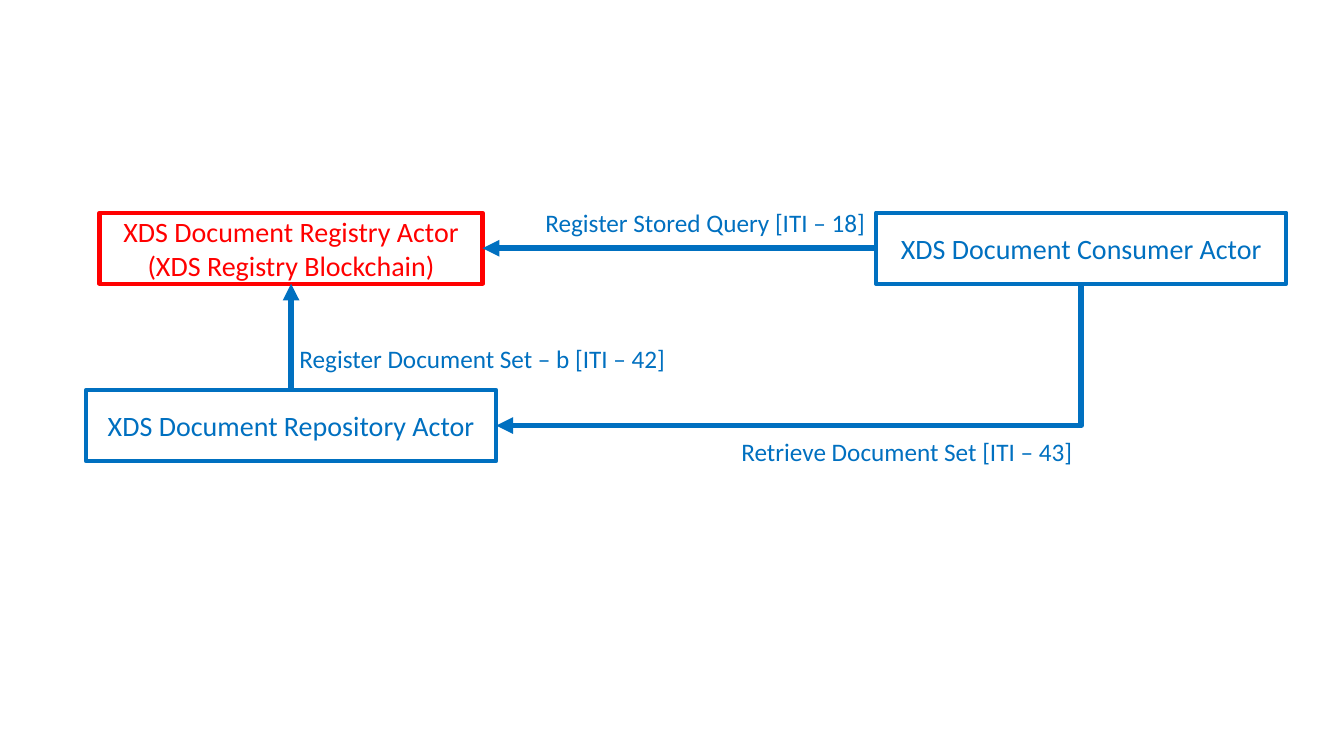
"""Build the slide of XDS document actors and the transactions between them."""
from dataclasses import dataclass

from lxml import etree
from pptx import Presentation
from pptx.dml.color import RGBColor
from pptx.enum.shapes import MSO_CONNECTOR, MSO_SHAPE
from pptx.enum.text import MSO_ANCHOR, PP_ALIGN
from pptx.oxml.ns import qn
from pptx.shapes.autoshape import Shape
from pptx.shapes.connector import Connector
from pptx.slide import Slide
from pptx.util import Inches, Pt

STRAIGHT, ELBOW = MSO_CONNECTOR.STRAIGHT, MSO_CONNECTOR.ELBOW
RECTANGLE = MSO_SHAPE.RECTANGLE
CENTER, MIDDLE = PP_ALIGN.CENTER, MSO_ANCHOR.MIDDLE
TOP, LEFT, BOTTOM, RIGHT = range(4)

COLORS = {"blue": "0070C0", "red": "FF0000"}
FONT = "Calibri"
SLIDE_WIDTH, SLIDE_HEIGHT = Inches(13.33), Inches(7.5)
COLUMN, ROW = SLIDE_WIDTH / 100, SLIDE_HEIGHT / 100

UPPER_ROW, LOWER_ROW = 28.13, 51.6
LEFT_CENTER, RIGHT_CENTER = 21.66, 80.45
BOX_HEIGHT, BOX_WIDTH = 9.4, 30.53
LABEL_WIDTH = 29.03


@dataclass(frozen=True)
class Actor:
    """An outlined box, centred on a column."""
    text: str
    center: float
    row: float
    width: float = BOX_WIDTH
    color: str = "blue"


@dataclass(frozen=True)
class Label:
    """The name of a transaction."""
    text: str
    column: float
    row: float
    height: float = BOX_HEIGHT


@dataclass(frozen=True)
class Arrow:
    """A transaction from a side of one actor to a side of another."""
    source: str
    source_side: int
    target: str
    target_side: int
    bent: bool = False


ACTORS = {
    "registry": Actor("XDS Document Registry Actor\v(XDS Registry Blockchain)",
                      LEFT_CENTER, UPPER_ROW, 28.5, "red"),
    "repository": Actor("XDS Document Repository Actor", LEFT_CENTER, LOWER_ROW),
    "consumer": Actor("XDS Document Consumer Actor", RIGHT_CENTER, UPPER_ROW),
}
ARROWS = [
    Arrow("repository", TOP, "registry", BOTTOM),
    Arrow("consumer", LEFT, "registry", RIGHT),
    Arrow("consumer", BOTTOM, "repository", RIGHT, bent=True),
]
LABELS = [
    Label("Register Document Set – b [ITI – 42]", 21.38, 43.87, 7.07),
    Label("Register Stored Query [ITI – 18]", 37.96, 24.67),
    Label("Retrieve Document Set [ITI – 43]", 52.96, 55.07),
]


def write_text(shape: Shape, text: str, size: int, color: str) -> None:
    """Put centred text into a shape."""
    frame = shape.text_frame
    frame.text = text
    frame.word_wrap = True
    frame.vertical_anchor = MIDDLE
    paragraph = frame.paragraphs[0]
    paragraph.alignment = CENTER
    for run in paragraph.runs:
        run.font.name = FONT
        run.font.size = Pt(size)
        run.font.color.rgb = RGBColor.from_string(COLORS[color])


def draw_actor(slide: Slide, actor: Actor) -> Shape:
    """Draw an actor's box and return it."""
    left = actor.center - actor.width / 2
    box = slide.shapes.add_shape(
        RECTANGLE, round(left * COLUMN), round(actor.row * ROW),
        round(actor.width * COLUMN), round(BOX_HEIGHT * ROW))
    box.shadow.inherit = False
    box.fill.background()
    box.line.color.rgb = RGBColor.from_string(COLORS[actor.color])
    box.line.width = Pt(3)
    write_text(box, actor.text, 20, actor.color)
    return box


def draw_label(slide: Slide, label: Label) -> None:
    """Draw the name of a transaction."""
    box = slide.shapes.add_textbox(
        round(label.column * COLUMN), round(label.row * ROW),
        round(LABEL_WIDTH * COLUMN), round(label.height * ROW))
    write_text(box, label.text, 18, "blue")


def bend_once(connector: Connector) -> None:
    """Make a connector go down first and then left, with one corner."""
    run = connector.begin_x - connector.end_x
    drop = connector.end_y - connector.begin_y
    center_x = (connector.begin_x + connector.end_x) // 2
    center_y = (connector.begin_y + connector.end_y) // 2
    connector.left, connector.top = center_x - drop // 2, center_y - run // 2
    connector.width, connector.height = drop, run
    properties = connector.element.spPr
    transform = properties.find(qn("a:xfrm"))
    transform.attrib.pop("flipH", None)
    transform.set("rot", "5400000")
    properties.find(qn("a:prstGeom")).set("prst", "bentConnector2")


def draw_arrow(slide: Slide, arrow: Arrow, boxes: dict[str, Shape]) -> None:
    """Draw an arrow glued to the boxes of two actors."""
    connector = slide.shapes.add_connector(ELBOW if arrow.bent else STRAIGHT, 0, 0, 0, 0)
    connector.begin_connect(boxes[arrow.source], arrow.source_side)
    connector.end_connect(boxes[arrow.target], arrow.target_side)
    if arrow.bent:
        bend_once(connector)
    connector.line.color.rgb = RGBColor.from_string(COLORS["blue"])
    connector.line.width = Pt(4)
    properties = connector.element.spPr
    etree.SubElement(properties.find(qn("a:ln")), qn("a:tailEnd"), type="triangle")
    etree.SubElement(properties, qn("a:effectLst"))


def main() -> None:
    """Build and save the presentation."""
    presentation = Presentation()
    presentation.slide_width, presentation.slide_height = SLIDE_WIDTH, SLIDE_HEIGHT
    slide = presentation.slides.add_slide(presentation.slide_layouts[6])
    boxes = {name: draw_actor(slide, actor) for name, actor in ACTORS.items()}
    for arrow in ARROWS:
        draw_arrow(slide, arrow, boxes)
    for label in LABELS:
        draw_label(slide, label)
    presentation.save("out.pptx")


main()
